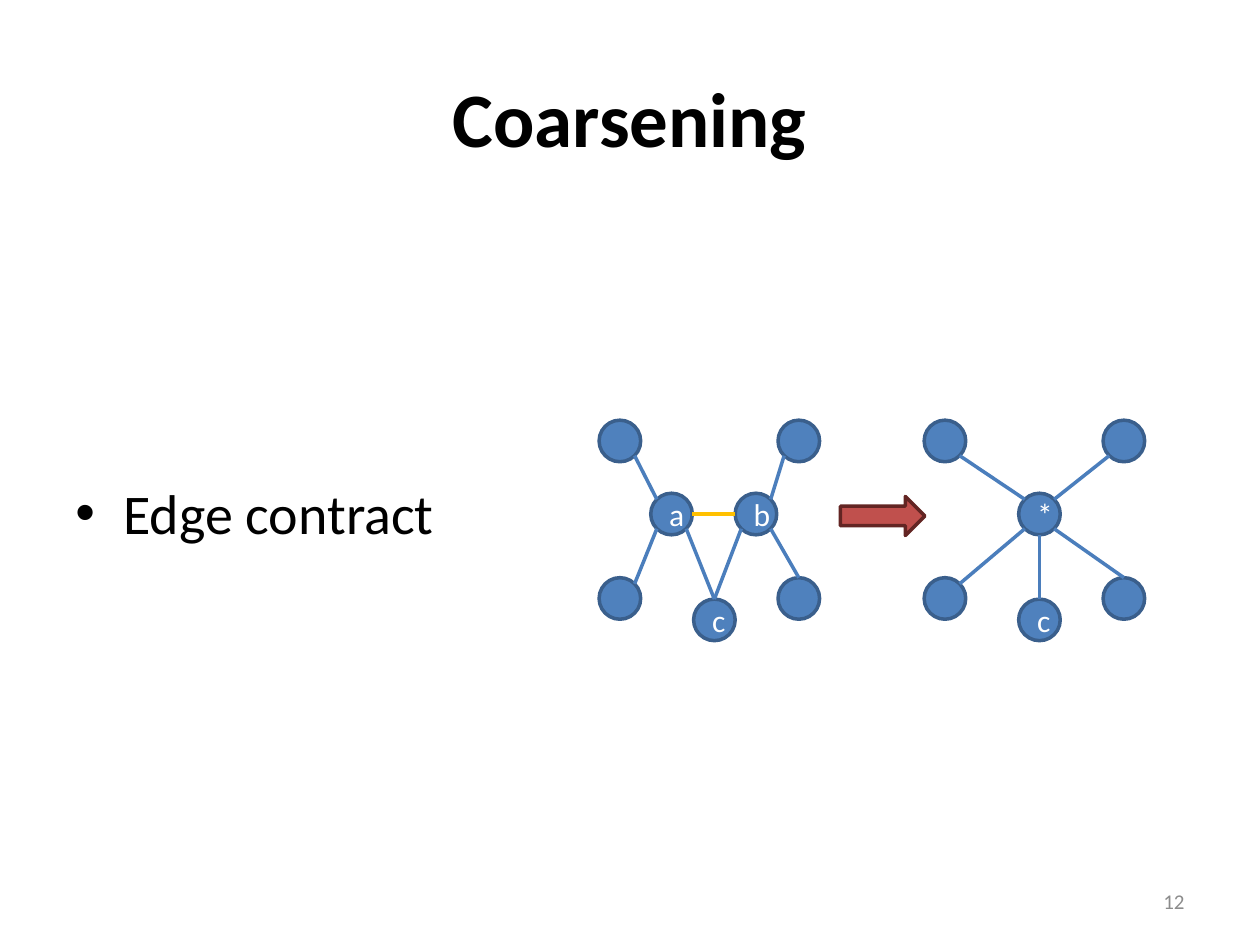
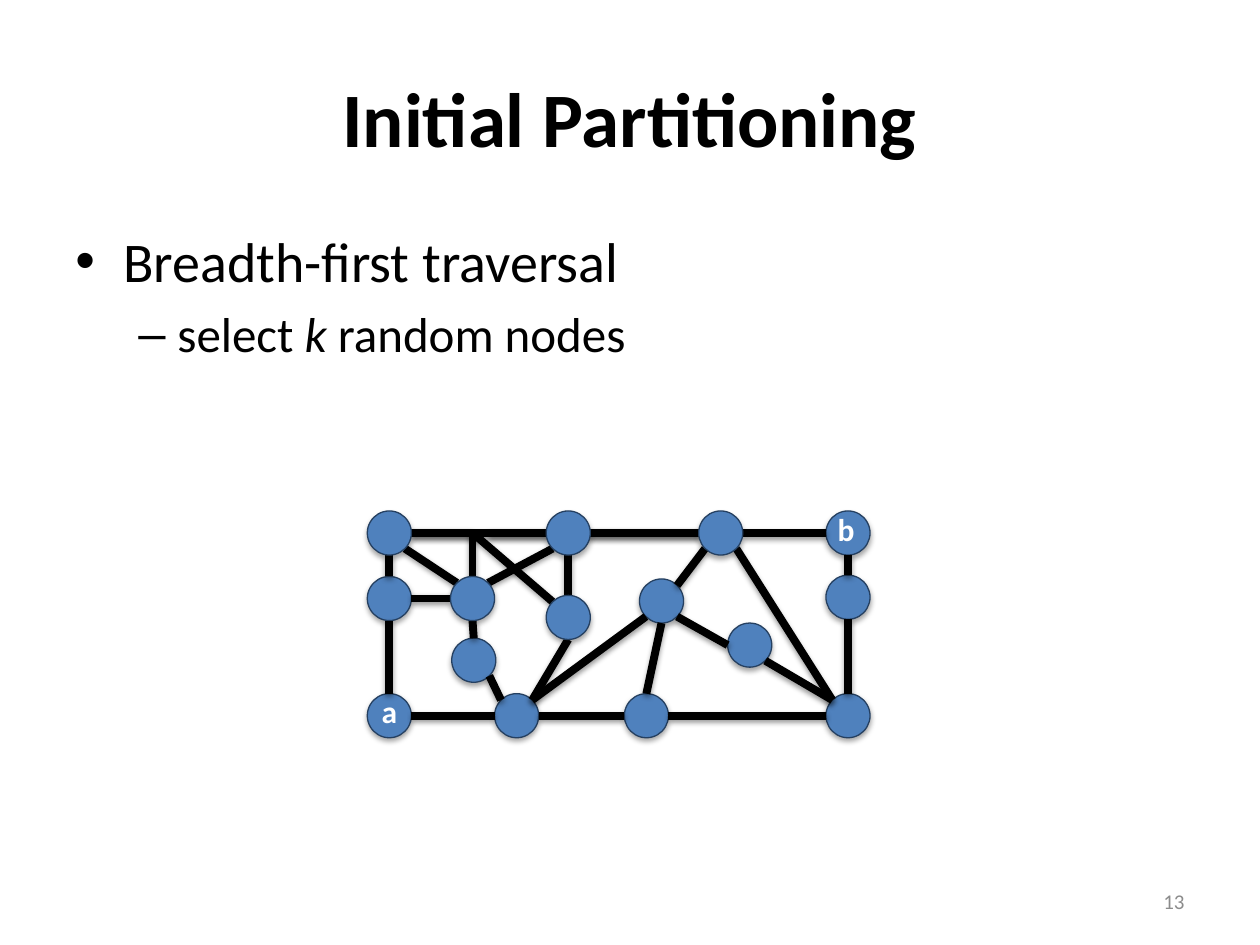
from lxml.etree import SubElement
from pptx import Presentation
from pptx.dml.color import RGBColor
from pptx.enum.shapes import MSO_CONNECTOR, MSO_SHAPE
from pptx.enum.text import MSO_ANCHOR, PP_ALIGN
from pptx.oxml.ns import qn
from pptx.util import Inches, Pt

COLORS = {
    "text": "000000", "number": "8C8C8C", "label": "FFFFFF",
    "node": "4F81BD", "node_line": "3A5F8C", "node_rim": "254061",
    "edge": "4B7EBC", "contracted": "FFC000", "heavy_edge": "000000",
    "arrow": "C0504D", "arrow_line": "632523",
}
FONT = "Calibri"
BULLETS = [("•", 32, 0.38, 0.38), ("–", 28, 0.81, 0.31)]  # sign, size, margin, hanging

# Unit steps from a node's centre to its connection sites
DIAGONAL = 0.707
SITES = {
    "N": (0, -1), "S": (0, 1), "W": (-1, 0), "E": (1, 0), "C": (0, 0),
    "NW": (-DIAGONAL, -DIAGONAL), "NE": (DIAGONAL, -DIAGONAL),
    "SW": (-DIAGONAL, DIAGONAL), "SE": (DIAGONAL, DIAGONAL),
}


class Deck:
    def __init__(self):
        self.presentation = Presentation()
        self.presentation.slide_width = Inches(10)
        self.presentation.slide_height = Inches(7.5)
        self.slide = None

    def new_slide(self, title, number):
        self.slide = self.presentation.slides.add_slide(self.presentation.slide_layouts[6])
        self.text(title, 0.5, 0.3, 9, 1.25, 44, "text", PP_ALIGN.CENTER, MSO_ANCHOR.MIDDLE, bold=True)
        self.text(str(number), 7.17, 6.95, 2.33, 0.4, 12, "number", PP_ALIGN.RIGHT, MSO_ANCHOR.MIDDLE)

    def color(self, name):
        return RGBColor.from_string(COLORS[name])

    def run(self, paragraph, text, size, color, bold=False, italic=False):
        run = paragraph.add_run()
        run.text = text
        run.font.name = FONT
        run.font.size = Pt(size)
        run.font.bold = bold
        run.font.italic = italic
        run.font.color.rgb = self.color(color)

    def text_frame(self, left, top, width, height, wrap=True):
        box = self.slide.shapes.add_textbox(Inches(left), Inches(top), Inches(width), Inches(height))
        box.text_frame.word_wrap = wrap
        return box.text_frame

    def text(self, text, left, top, width, height, size, color,
             align=PP_ALIGN.LEFT, anchor=MSO_ANCHOR.TOP, bold=False, wrap=True):
        frame = self.text_frame(left, top, width, height, wrap)
        frame.vertical_anchor = anchor
        paragraph = frame.paragraphs[0]
        paragraph.alignment = align
        self.run(paragraph, text, size, color, bold)

    def bullets(self, items, left, top, width, height):
        """Each item is a level and a list of (text, italic) runs."""
        frame = self.text_frame(left, top, width, height)
        for index, (level, runs) in enumerate(items):
            paragraph = frame.add_paragraph() if index else frame.paragraphs[0]
            sign, size, margin, hanging = BULLETS[level]
            paragraph.level = level
            if index:
                paragraph.space_before = Pt(size * 0.2)
            properties = paragraph._p.get_or_add_pPr()
            properties.set("marL", str(Inches(margin)))
            properties.set("indent", str(-Inches(hanging)))
            SubElement(properties, qn("a:buFont"), typeface="Arial")
            SubElement(properties, qn("a:buChar"), char=sign)
            for text, italic in runs:
                self.run(paragraph, text, size, "text", italic=italic)

    def effects(self, shape, distance=0, opacity=0):
        """Clear the theme shadow; with an opacity, cast a soft one downwards."""
        properties = shape.element.spPr
        effects = properties.find(qn("a:effectLst"))
        if effects is None:
            effects = SubElement(properties, qn("a:effectLst"))
        if opacity:
            shadow = SubElement(effects, qn("a:outerShdw"), blurRad=str(Pt(3.1)),
                                dist=str(Pt(distance)), dir="5400000", rotWithShape="0")
            black = SubElement(shadow, qn("a:srgbClr"), val="000000")
            SubElement(black, qn("a:alpha"), val=str(opacity * 1000))

    def shape(self, kind, left, top, width, height, fill, line, line_width):
        shape = self.slide.shapes.add_shape(
            kind, Inches(left), Inches(top), Inches(width), Inches(height))
        shape.shadow.inherit = False
        shape.fill.solid()
        shape.fill.fore_color.rgb = self.color(fill)
        shape.line.color.rgb = self.color(line)
        shape.line.width = Pt(line_width)
        return shape

    def node(self, center, diameter, line, line_width, label="", shadow=False):
        x, y = center
        node = self.shape(MSO_SHAPE.OVAL, x - diameter / 2, y - diameter / 2,
                          diameter, diameter, "node", line, line_width)
        if shadow:
            self.effects(node, 1.8, 35)
        if label:
            paragraph = node.text_frame.paragraphs[0]
            paragraph.alignment = PP_ALIGN.CENTER
            self.run(paragraph, label, 18, "label")

    def edges(self, nodes, links, diameter, color, width, shadow=False):
        """Each link reads 'node site node site'."""
        for link in links:
            start, start_site, end, end_site = link.split()
            points = []
            for name, site in ((start, start_site), (end, end_site)):
                for middle, step in zip(nodes[name], SITES[site]):
                    points.append(Inches(middle + step * diameter / 2))
            edge = self.slide.shapes.add_connector(MSO_CONNECTOR.STRAIGHT, *points)
            edge.line.color.rgb = self.color(color)
            edge.line.width = Pt(width)
            self.effects(edge, 1.6, 38 if shadow else 0)


def coarsening(deck):
    deck.new_slide("Coarsening", 12)
    deck.bullets([(0, [("Edge contract", False)])], 0.5, 3.75, 5.08, 3.17)
    diameter = 0.33

    def graph(middle, inner, links):
        nodes = {
            **inner, "c": (middle, 4.92),
            "bottom_right": (middle + 0.67, 4.75), "top_right": (middle + 0.67, 3.5),
            "top_left": (middle - 0.75, 3.5), "bottom_left": (middle - 0.75, 4.75),
        }
        for name, center in nodes.items():
            deck.node(center, diameter, "node_line", 2, name if len(name) == 1 else "")
        deck.edges(nodes, links, diameter, "edge", 2)
        return nodes

    # Graph before the contraction of edge a-b
    before = graph(5.67, {"a": (5.33, 4.08), "b": (6, 4.08)}, [
        "top_left SE a NW", "bottom_left NE a SW", "top_right SW b NE",
        "b SE bottom_right N", "c N a SE", "b SW c N"])
    deck.edges(before, ["b W a E"], diameter, "contracted", 2)

    # Graph after it
    graph(8.25, {"*": (8.25, 4.08)}, [
        "top_left SE * NW", "bottom_left NE * SW", "top_right SW * NE",
        "* SE bottom_right N", "* S c N"])
    deck.shape(MSO_SHAPE.RIGHT_ARROW, 6.67, 3.94, 0.67, 0.31, "arrow", "arrow_line", 2)


def initial_partitioning(deck):
    deck.new_slide("Initial Partitioning", 13)
    deck.bullets([
        (0, [("Breadth-first traversal", False)]),
        (1, [("select ", False), ("k", True), (" random nodes", False)]),
    ], 0.5, 1.75, 9, 1.67)

    diameter = 0.35
    left, right, top, bottom = 3.09, 6.73, 4.23, 5.68
    back_nodes = {
        "left_middle": (left, 4.75), "a": (left, bottom), "inner_low": (3.76, 5.24),
        "b": (right, top), "right_middle": (right, 4.74), "bottom_1": (4.1, bottom),
        "bottom_2": (5.13, bottom), "bottom_right": (right, bottom),
        "hub": (5.25, 4.77), "bridge": (5.95, 5.12),
    }
    front_nodes = {
        "top_middle": (4.51, top), "top_left": (left, top), "inner": (3.75, 4.75),
        "top_right": (5.72, top), "center": (4.51, 4.9),
    }
    junctions = {"junction": (3.75, top), "junction_right": (3.88, top)}
    links = [
        "top_left E top_middle W", "top_left S left_middle N", "left_middle S a N",
        "bottom_1 W a E", "bottom_2 W bottom_1 E", "bottom_right W bottom_2 E",
        "inner W left_middle E", "inner NW top_left SE", "inner NE top_middle SW",
        "top_middle E top_right W", "top_right E b W", "right_middle N b S",
        "bottom_right N right_middle S", "bottom_right NW top_right SE",
        "inner S inner_low N", "bottom_1 NW inner_low SE", "center N top_middle S",
        "bottom_1 NE center S", "hub NE top_right SW", "hub SW bottom_1 NE",
        "hub S bottom_2 N", "hub SE bridge W", "bridge SE bottom_right NW",
        "junction C top_left E", "junction C inner N", "junction C center NW",
        "junction_right C top_right W",
    ]

    # Edges lie between the two layers of nodes
    for center in back_nodes.values():
        deck.node(center, diameter, "node_rim", 0.75, shadow=True)
    deck.edges({**back_nodes, **front_nodes, **junctions}, links, diameter,
               "heavy_edge", 4.5, shadow=True)
    for center in front_nodes.values():
        deck.node(center, diameter, "node_rim", 0.75, shadow=True)

    # Names of the selected nodes
    for name, x, y in (("a", 2.93, 5.44), ("b", 6.55, 4)):
        deck.text(name, x, y, 0.33, 0.4, 18, "label", bold=True, wrap=False)


def main():
    deck = Deck()
    coarsening(deck)
    initial_partitioning(deck)
    deck.presentation.save("out.pptx")


if __name__ == "__main__":
    main()
